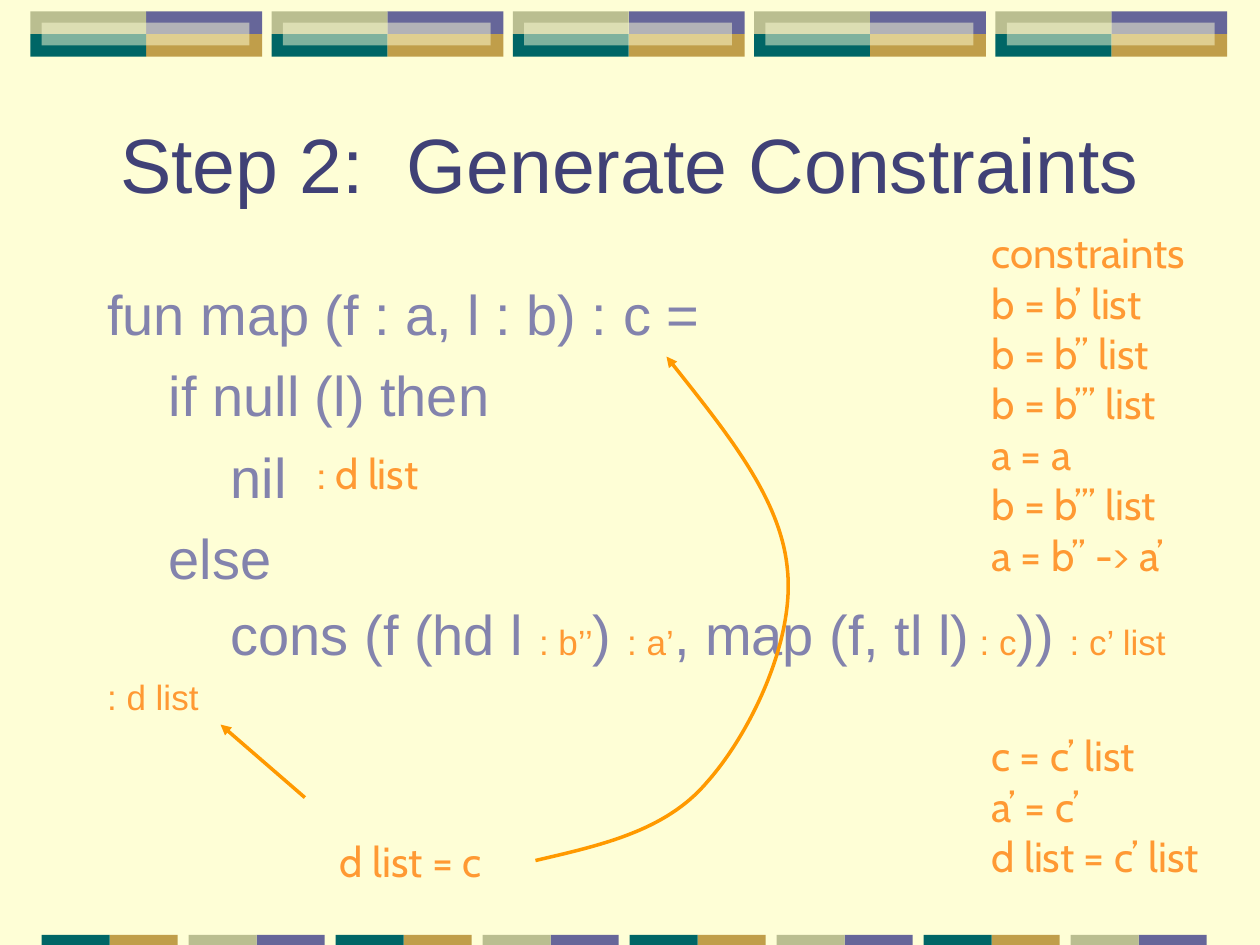
"""Builds the slide on generating type constraints for map."""
from lxml import etree
from pptx import Presentation
from pptx.dml.color import RGBColor
from pptx.enum.shapes import MSO_CONNECTOR, MSO_SHAPE
from pptx.enum.text import MSO_ANCHOR, MSO_AUTO_SIZE, PP_ALIGN
from pptx.oxml.ns import qn
from pptx.util import Inches, Pt

RECTANGLE = MSO_SHAPE.RECTANGLE
STRAIGHT = MSO_CONNECTOR.STRAIGHT
MIDDLE = MSO_ANCHOR.MIDDLE
NO_FIT, GROW = MSO_AUTO_SIZE.NONE, MSO_AUTO_SIZE.SHAPE_TO_FIT_TEXT
LEFT, CENTER = PP_ALIGN.LEFT, PP_ALIGN.CENTER
CREAM, PURPLE, GOLD, TEAL, SAGE = "FEFED6", "666699", "C09E4A", "006666", "BABE90"
NAVY, LAVENDER, ORANGE, AMBER = "404176", "8383AD", "FF9933", "FF9900"


def color(value):
    """Turn a hex string into a colour."""
    return RGBColor.from_string(value)


def write(para, text, size=24, font="Cabin", fill=ORANGE, align=LEFT, before=0):
    """Add formatted text to a paragraph."""
    para.alignment = align
    para.space_before = Pt(before)
    span = para.add_run()
    span.text = text
    span.font.size = Pt(size)
    span.font.name = font
    span.font.color.rgb = color(fill)


deck = Presentation()
deck.slide_width, deck.slide_height = Inches(10), Inches(7.5)
page = deck.slides.add_slide(deck.slide_layouts[1])
page.background.fill.solid()
page.background.fill.fore_color.rgb = color(CREAM)

tiles = []
for i in range(5):
    x = 0.24 + i * 7.66 / 4
    tiles += [
        (x + 0.92, 0.09, 0.92, 0.18, PURPLE),
        (x + 0.92, 0.27, 0.92, 0.18, GOLD),
        (x, 0.27, 0.92, 0.18, TEAL),
        (x, 0.09, 0.92, 0.18, SAGE),
        (x + 0.09, 0.18, 1.65, 0.18, CREAM),
    ]
for i in range(8):
    x = 0.33 + i * 7 / 6
    first, second = (SAGE, PURPLE) if i % 2 else (TEAL, GOLD)
    tiles += [(x + 0.54, 7.42, 0.54, 0.08, second), (x, 7.42, 0.54, 0.08, first)]
for left, top, width, height, fill in tiles:
    tile = page.shapes.add_shape(
        RECTANGLE, Inches(left), Inches(top), Inches(width), Inches(height))
    tile.shadow.inherit = False
    tile.fill.solid()
    tile.fill.fore_color.rgb = color(fill)
    tile.line.fill.background()
    if fill == CREAM:
        shade = tile.fill._xPr.find(".//" + qn("a:srgbClr"))
        etree.SubElement(shade, qn("a:alpha"), val="50000")

title = page.shapes.title
title.left, title.top, title.width, title.height = Inches(0), Inches(0.67), Inches(10), Inches(1.25)
title.text_frame.vertical_anchor = MIDDLE
title.text_frame.auto_size = NO_FIT
write(title.text_frame.paragraphs[0], "Step 2:  Generate Constraints",
      size=44, font="Arial", fill=NAVY, align=CENTER)

body = page.placeholders[1]
body.left, body.top, body.width, body.height = Inches(0.75), Inches(2.17), Inches(9), Inches(4.5)
body.text_frame.auto_size = NO_FIT
code_lines = [
    (0, 8, ["fun map (f : a, l : b) : c ="]),
    (1, 8, ["if null (l) then"]),
    (2, 8, ["nil"]),
    (1, 8, ["else"]),
    (2, 5, ["cons (f (hd l ", ": b’’", ") ", ": a’", ", map (f, tl l)", " : c", ")) ", ": c’ list"]),
    (0, 5, ["", ": d list"]),
]
for i, (depth, before, parts) in enumerate(code_lines):
    para = body.text_frame.paragraphs[0] if i == 0 else body.text_frame.add_paragraph()
    for j, part in enumerate(parts):
        if part:
            size, fill = (20, ORANGE) if j % 2 else (32, LAVENDER)
            write(para, part, size=size, font="Arial", fill=fill, before=before)
    properties = para._p.get_or_add_pPr()
    properties.set("marL", str(Inches(0.49 * depth)))
    properties.set("indent", "0")
    etree.SubElement(properties, qn("a:buNone"))

constraints = [
    "constraints", "b = b’ list", "b = b’’ list", "b = b’’’ list", "a = a",
    "b = b’’’ list", "a = b’’ -> a’", "c = c’ list", "a’ = c’", "d list = c’ list",
]
notes = [
    (2.42, 3.5, 1.12, 0.5, [": d list"]),
    (7.77, 1.75, 2.06, 5.3, constraints),
    (2.6, 6.58, 1.47, 0.5, ["d list = c"]),
]
for left, top, width, height, lines in notes:
    box = page.shapes.add_textbox(Inches(left), Inches(top), Inches(width), Inches(height))
    box.text_frame.word_wrap = False
    box.text_frame.auto_size = GROW
    for i, line in enumerate(lines):
        para = box.text_frame.paragraphs[0] if i == 0 else box.text_frame.add_paragraph()
        write(para, line, before=86 if line == "c = c’ list" else 0)

arrow = page.shapes.add_connector(
    STRAIGHT, Inches(2.42), Inches(6.33), Inches(1.75), Inches(5.75))

curve_points = [
    (4.76, 6.71), (5.28, 6.6), (5.61, 6.21),
    (5.95, 5.83), (6.31, 5.09), (6.25, 4.52),
    (6.2, 3.96), (5.74, 3.4), (5.29, 2.83),
]
builder = page.shapes.build_freeform(Inches(4.25), Inches(6.83))
builder.add_line_segments([(Inches(x), Inches(y)) for x, y in curve_points], close=False)
curve = builder.convert_to_shape()
curve.shadow.inherit = False
curve.fill.background()
outline = curve._element.spPr.find(".//" + qn("a:path"))
segments = outline.findall(qn("a:lnTo"))
for start in range(0, len(segments), 3):
    bend = etree.SubElement(outline, qn("a:cubicBezTo"))
    for segment in segments[start:start + 3]:
        bend.append(segment[0])
        outline.remove(segment)

for pointer in (arrow, curve):
    pointer.line.color.rgb = color(AMBER)
    pointer.line.width = Pt(2)
    etree.SubElement(pointer.line._get_or_add_ln(), qn("a:tailEnd"), type="triangle")
etree.SubElement(arrow._element.spPr, qn("a:effectLst"))

deck.save("out.pptx")
